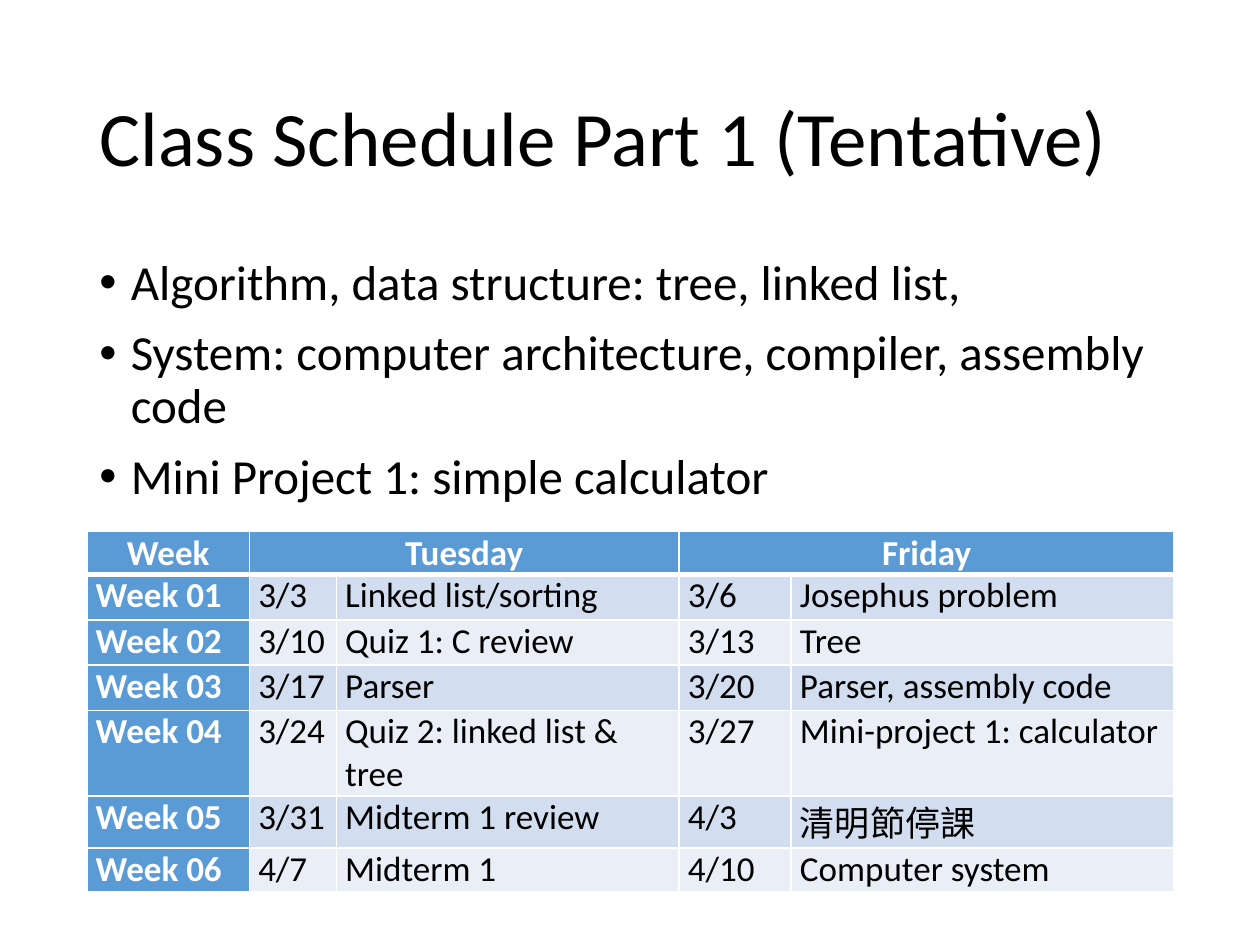
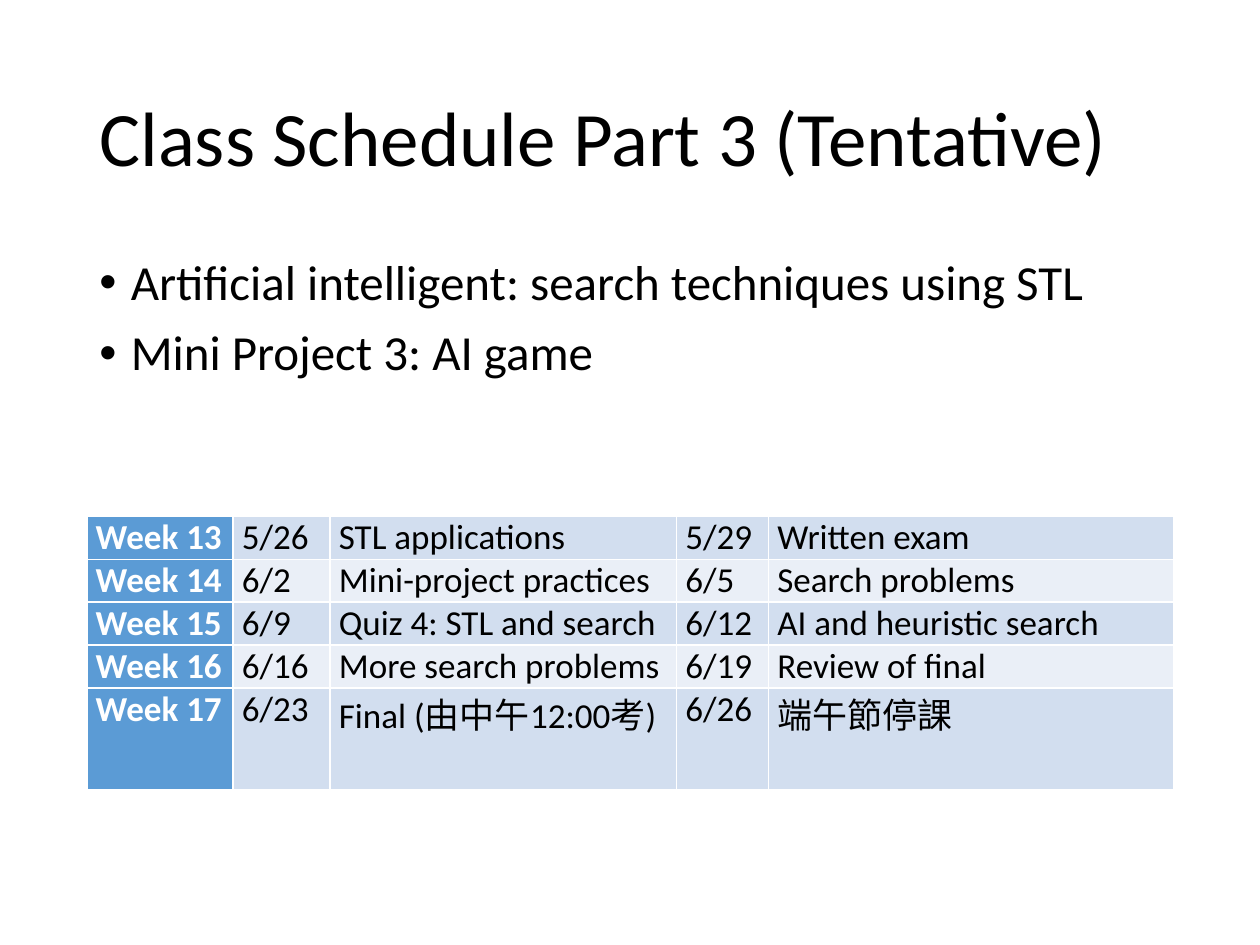
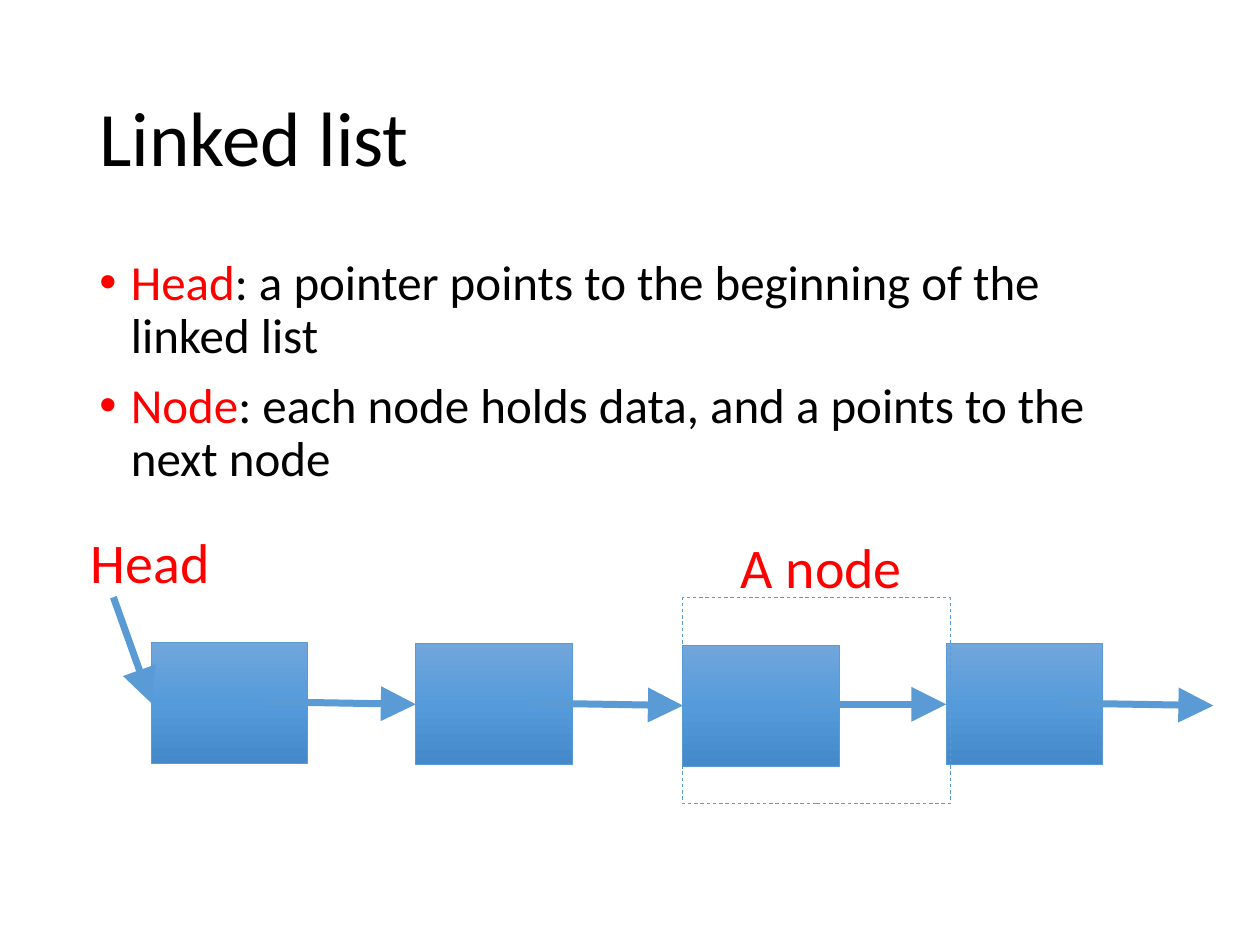
"""Build three course slides: two class schedules and a linked list diagram."""
from copy import deepcopy
from dataclasses import dataclass

from lxml import etree
from pptx import Presentation
from pptx.dml.color import RGBColor
from pptx.enum.dml import MSO_LINE
from pptx.enum.shapes import MSO_CONNECTOR, MSO_SHAPE
from pptx.enum.text import MSO_ANCHOR, MSO_AUTO_SIZE, PP_ALIGN
from pptx.oxml.ns import qn
from pptx.util import Inches, Pt

STRAIGHT = MSO_CONNECTOR.STRAIGHT
RECTANGLE = MSO_SHAPE.RECTANGLE
DASH = MSO_LINE.DASH
MIDDLE = MSO_ANCHOR.MIDDLE
CENTER = PP_ALIGN.CENTER
FIT_SHAPE = MSO_AUTO_SIZE.SHAPE_TO_FIT_TEXT
LEFT_SIDE = 1


@dataclass(frozen=True)
class Theme:
    font: str = "Calibri"
    ink: str = "000000"
    accent: str = "5B9BD5"
    paper: str = "FFFFFF"
    highlight: str = "FF0000"
    bands: tuple = ("D2DEEF", "EAEFF7")
    gradient: tuple = ((0, "71A6DB"), (0.5, "559BDB"), (1, "448ACA"))
    title: int = 44
    body: int = 28
    label: int = 32
    cell: int = 20


THEME = Theme()
MARGIN, CONTENT_WIDTH = 0.69, 8.62
BULLET_INDENT = 0.25
CELL_INSET = 0.07
THIN_BORDER, THICK_BORDER = 1, 3

SCHEDULES = [
    {
        "title": "Class Schedule Part 1 (Tentative)",
        "bullets": [
            [("Algorithm, data structure: tree, linked list,", THEME.ink)],
            [("System: computer architecture, compiler, assembly code", THEME.ink)],
            [("Mini Project 1: simple calculator", THEME.ink)],
        ],
        "top": 4.22,
        "columns": (1.29, 0.69, 2.72, 0.89, 3.04),
        "heights": (0.34, 0.36, 0.36, 0.36, 0.68, 0.41, 0.35),
        "header": ("Week", "Tuesday", "", "Friday", ""),
        "weeks": [
            ("Week 01", "3/3", "Linked list/sorting", "3/6", "Josephus problem"),
            ("Week 02", "3/10", "Quiz 1: C review", "3/13", "Tree"),
            ("Week 03", "3/17", "Parser", "3/20", "Parser, assembly code"),
            ("Week 04", "3/24", "Quiz 2: linked list & tree", "3/27",
             "Mini-project 1: calculator"),
            ("Week 05", "3/31", "Midterm 1 review", "4/3", "清明節停課"),
            ("Week 06", "4/7", "Midterm 1", "4/10", "Computer system"),
        ],
    },
    {
        "title": "Class Schedule Part 3 (Tentative)",
        "bullets": [
            [("Artificial intelligent: search techniques using STL", THEME.ink)],
            [("Mini Project 3: AI game", THEME.ink)],
        ],
        "top": 4.1,
        "columns": (1.16, 0.77, 2.75, 0.73, 3.22),
        "heights": (0.34, 0.34, 0.34, 0.34, 0.81),
        "header": None,
        "weeks": [
            ("Week 13", "5/26", "STL applications", "5/29", "Written exam"),
            ("Week 14", "6/2", "Mini-project practices", "6/5", "Search problems"),
            ("Week 15", "6/9", "Quiz 4: STL and search", "6/12",
             "AI and heuristic search"),
            ("Week 16", "6/16", "More search problems", "6/19", "Review of final"),
            ("Week 17", "6/23", "Final (由中午12:00考)", "6/26", "端午節停課"),
        ],
    },
]
HEADER_SPANS = ((1, 2), (3, 4))

LIST_TITLE = "Linked list"
LIST_BULLETS = [
    [("Head", THEME.highlight),
     (": a pointer points to the beginning of the linked list", THEME.ink)],
    [("Node", THEME.highlight),
     (": each node holds data, and a points to the next node", THEME.ink)],
]
NODE_CORNERS = ((1.2, 5.1), (3.3, 5.11), (5.42, 5.12), (7.51, 5.11))
NODE_SIZE = (1.24, 0.96)
POINTER_OFFSET = (0.92, 0.47)
LAST_POINTER_END = (9.63, 5.6)
HEAD_POINTER_START = (0.9, 4.74)
NODE_FRAME = (5.42, 4.74, 2.12, 1.64)
LABELS = [("Head", (0.62, 4.14, 1.16, 0.64)), ("A node", (5.78, 4.18, 1.5, 0.64))]


def color(value):
    return RGBColor.from_string(value)


def set_font(font, size, shade, bold=False):
    font.name = THEME.font
    font.size = Pt(size)
    font.color.rgb = color(shade)
    font.bold = bold


def add_text(page, area, text, size, shade):
    box = page.shapes.add_textbox(*map(Inches, area))
    frame = box.text_frame
    frame.word_wrap = True
    para = frame.paragraphs[0]
    para.text = text
    set_font(para.font, size, shade)
    return frame


def add_bullet(para, spans):
    para.line_spacing = 0.9
    para.space_before = Pt(10)
    set_font(para.font, THEME.body, THEME.ink)
    for text, shade in spans:
        span = para.add_run()
        span.text = text
        set_font(span.font, THEME.body, shade)
    properties = para._p.get_or_add_pPr()
    properties.set("marL", str(Inches(BULLET_INDENT)))
    properties.set("indent", str(-Inches(BULLET_INDENT)))
    etree.SubElement(properties, qn("a:buFont"), typeface="Arial")
    etree.SubElement(properties, qn("a:buChar"), char="•")
    default = properties.find(qn("a:defRPr"))
    properties.append(default)


def add_page(deck, title, bullets):
    page = deck.slides.add_slide(deck.slide_layouts[6])
    heading = add_text(page, (MARGIN, 0.4, CONTENT_WIDTH, 1.45), title,
                       THEME.title, THEME.ink)
    heading.vertical_anchor = MIDDLE
    heading.paragraphs[0].line_spacing = 0.9
    box = page.shapes.add_textbox(*map(Inches, (MARGIN, 2, CONTENT_WIDTH, 4.76)))
    body = box.text_frame
    body.word_wrap = True
    for index, spans in enumerate(bullets):
        add_bullet(body.add_paragraph() if index else body.paragraphs[0], spans)
    return page


def add_borders(cell, top, bottom):
    widths = {"L": THIN_BORDER, "R": THIN_BORDER, "T": top, "B": bottom}
    for side, width in widths.items():
        line = etree.SubElement(cell._tc.get_or_add_tcPr(), qn(f"a:ln{side}"),
                                w=str(Pt(width)))
        fill = etree.SubElement(line, qn("a:solidFill"))
        etree.SubElement(fill, qn("a:srgbClr"), val=THEME.paper)


def style_cell(cell, text, fill, strong, top, bottom):
    cell.margin_left = cell.margin_right = Inches(CELL_INSET)
    cell.margin_top = cell.margin_bottom = 0
    add_borders(cell, top, bottom)
    cell.fill.solid()
    cell.fill.fore_color.rgb = color(fill)
    para = cell.text_frame.paragraphs[0]
    para.text = text
    set_font(para.font, THEME.cell, THEME.paper if strong else THEME.ink, strong)


def add_schedule(page, schedule):
    header, weeks = schedule["header"], schedule["weeks"]
    header_rows = 1 if header else 0
    rows = [header] * header_rows + weeks
    columns, heights = schedule["columns"], schedule["heights"]
    area = (MARGIN, schedule["top"], sum(columns), sum(heights))
    table = page.shapes.add_table(len(rows), len(columns), *map(Inches, area)).table
    table.first_row = table.horz_banding = False
    for column, width in zip(table.columns, columns):
        column.width = Inches(width)
    for index, (row, height) in enumerate(zip(rows, heights)):
        table.rows[index].height = Inches(height)
        is_header = index < header_rows
        top = THICK_BORDER if header and index == 1 else THIN_BORDER
        bottom = THICK_BORDER if is_header else THIN_BORDER
        band = THEME.bands[(index - header_rows) % 2]
        for position, text in enumerate(row):
            strong = is_header or position == 0
            cell = table.cell(index, position)
            style_cell(cell, text, THEME.accent if strong else band, strong,
                       top, bottom)
            if is_header:
                cell.text_frame.paragraphs[0].alignment = CENTER
    if header:
        for first, last in HEADER_SPANS:
            table.cell(0, first).merge(table.cell(0, last))


def add_rectangle(page, area):
    box = page.shapes.add_shape(RECTANGLE, *map(Inches, area))
    box.shadow.inherit = False
    box.line.color.rgb = color(THEME.accent)
    box.line.width = Pt(0.5)
    return box


def add_node(page, corner):
    box = add_rectangle(page, corner + NODE_SIZE)
    box.fill.gradient()
    box.fill.gradient_angle = 270
    stops = box._element.spPr.find(qn("a:gradFill")).find(qn("a:gsLst"))
    stops.insert(1, deepcopy(stops[0]))
    for stop, (position, shade) in zip(box.fill.gradient_stops, THEME.gradient):
        stop.position = position
        stop.color.rgb = color(shade)
    return box


def add_pointer(page, start, end, target=None):
    arrow = page.shapes.add_connector(STRAIGHT, *map(Inches, start + end))
    arrow.line.color.rgb = color(THEME.accent)
    arrow.line.width = Pt(4)
    etree.SubElement(arrow.line._get_or_add_ln(), qn("a:tailEnd"),
                     type="triangle", w="lg", len="lg")
    etree.SubElement(arrow._element.spPr, qn("a:effectLst"))
    if target is not None:
        arrow.end_connect(target, LEFT_SIDE)


def add_linked_list(page):
    nodes = [add_node(page, corner) for corner in NODE_CORNERS]
    entries = [(left, top + NODE_SIZE[1] / 2) for left, top in NODE_CORNERS]
    starts = [HEAD_POINTER_START] + [
        (left + POINTER_OFFSET[0], top + POINTER_OFFSET[1])
        for left, top in NODE_CORNERS
    ]
    ends = entries + [LAST_POINTER_END]
    for start, end, target in zip(starts, ends, nodes + [None]):
        add_pointer(page, start, end, target)
    node_frame = add_rectangle(page, NODE_FRAME)
    node_frame.fill.background()
    node_frame.line.dash_style = DASH
    for text, area in LABELS:
        frame = add_text(page, area, text, THEME.label, THEME.highlight)
        frame.word_wrap = False
        frame.auto_size = FIT_SHAPE


def main():
    deck = Presentation()
    deck.slide_width, deck.slide_height = Inches(10), Inches(7.5)
    for schedule in SCHEDULES:
        page = add_page(deck, schedule["title"], schedule["bullets"])
        add_schedule(page, schedule)
    add_linked_list(add_page(deck, LIST_TITLE, LIST_BULLETS))
    deck.save("out.pptx")


if __name__ == "__main__":
    main()
